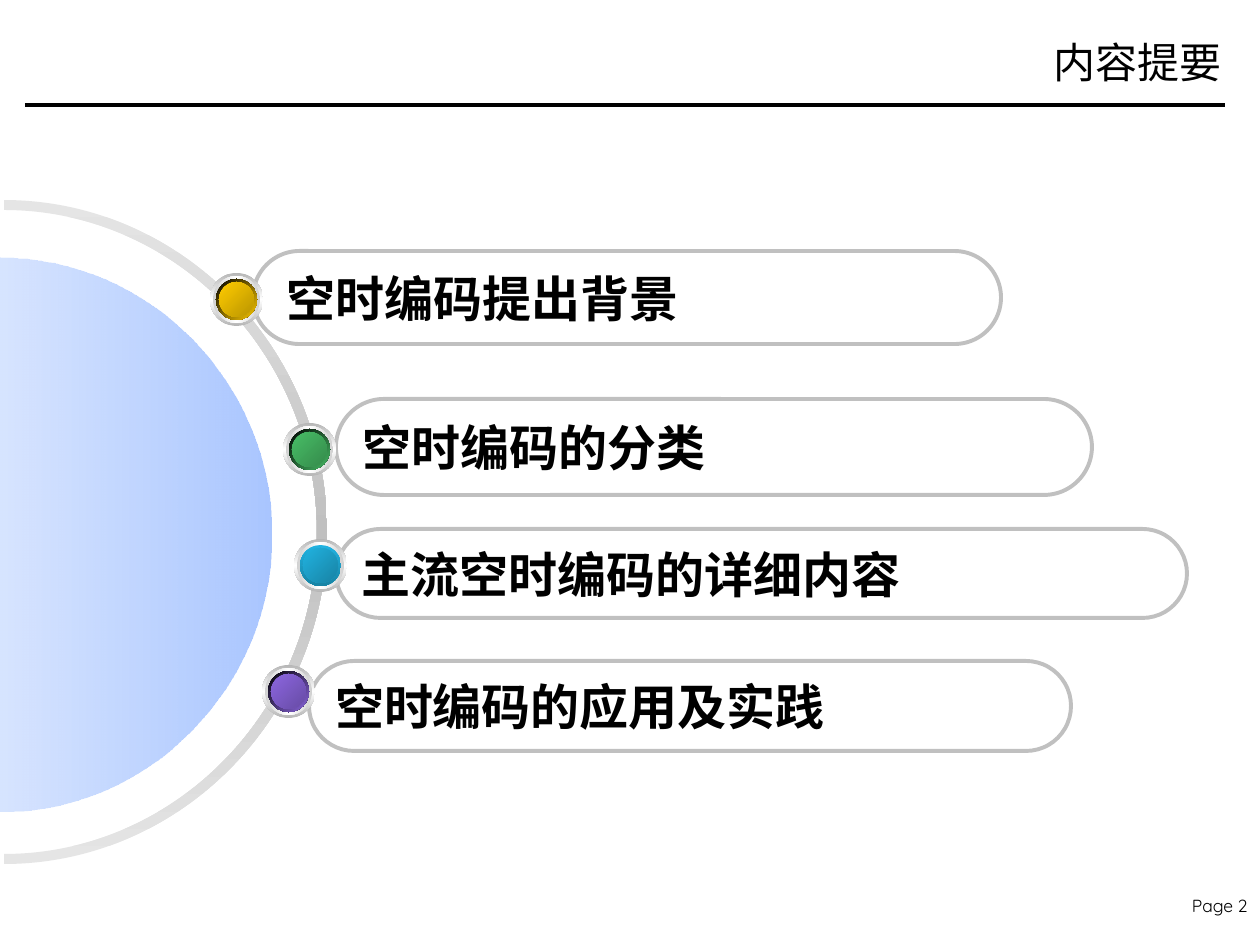
from lxml.etree import SubElement
from pptx import Presentation
from pptx.dml.color import RGBColor
from pptx.enum.shapes import MSO_CONNECTOR, MSO_SHAPE
from pptx.enum.text import MSO_ANCHOR, PP_ALIGN
from pptx.oxml.ns import qn
from pptx.util import Pt

SCALE = 914400 / 126  # EMU in one px
SLIDE_SIZE = (1260, 945)
ARC_HANDLE = 0.55  # length of a curve handle for a quarter ellipse of radius 1

COLORS = {
    "black": "000000", "white": "FFFFFF", "outline": "C0C0C0",
    "ring_end": "E5E5E5", "ring_middle": "C0C0C0",
    "disc_edge": "6699FF", "disc_centre": "B2CCFF",
    "bezel": "B6B6B6", "inner_bezel": "D1D1D1",
    "yellow": "FFCC00", "dark_yellow": "BA9500",
    "green": "48BE67", "dark_green": "358B4B",
    "blue": "21B3E1", "dark_blue": "1883A4",
    "purple": "8D67E1", "dark_purple": "674BA4",
}

TITLE = ("内容提要", (916, 15, 318, 94))
PAGE_LABEL = ("Page 2", (1159, 889, 101, 32))
RULE = ((25, 105), (1225, 105))

# centre, outer radii and inner radii of the half ring; centre and radii of the half disc
RING = ((4, 532), (323, 332), (313, 322))
DISC = ((0, 535), (271, 277))

# text, pill box, extra text indent, knob corner, knob colour, rim colours, rim angle
TOPICS = [
    ("空时编码提出背景", (253, 251, 748, 93), 7, (210, 273),
     "yellow", ("black", "yellow"), 45),
    ("空时编码的分类", (336, 399, 756, 96), 0, (283, 423),
     "green", ("black", "green"), 45),
    ("主流空时编码的详细内容", (336, 529, 851, 89), 0, (294, 539),
     "blue", ("blue", "dark_blue"), 90),
    ("空时编码的应用及实践", (309, 661, 762, 90), 0, (262, 665),
     "purple", ("black", "purple"), 45),
]
KNOB_SIZE, KNOB_STEP = 53, 3
INSET = 13


def px(value):
    return round(value * SCALE)


def rgb(name):
    return RGBColor.from_string(COLORS[name])


def fill_gradient(shape, names, angle, alphas=None):
    """Fill with evenly spaced stops; angle is clockwise, alphas are percentages."""
    shape.shadow.inherit = False
    shape.line.fill.background()
    shape.fill.gradient()
    gradient = shape._element.spPr.find(qn("a:gradFill"))
    stops = gradient.find(qn("a:gsLst"))
    for stop in list(stops):
        stops.remove(stop)
    for index, name in enumerate(names):
        position = round(100000 * index / (len(names) - 1))
        stop = SubElement(stops, qn("a:gs"), pos=str(position))
        color = SubElement(stop, qn("a:srgbClr"), val=COLORS[name])
        if alphas:
            SubElement(color, qn("a:alpha"), val=str(alphas[index] * 1000))
    gradient.find(qn("a:lin")).set("ang", str(angle * 60000))


def half_ellipse(centre, radii):
    """Two curves, top to bottom along the right side: ends and handles in EMU."""
    unit_points = [(0, -1), (ARC_HANDLE, -1), (1, -ARC_HANDLE), (1, 0),
                   (1, ARC_HANDLE), (ARC_HANDLE, 1), (0, 1)]
    return [(px(centre[0] + radii[0] * x), px(centre[1] + radii[1] * y))
            for x, y in unit_points]


def add_curved_outline(slide, arcs):
    """Join arcs with straight lines; each three points after an arc's first make a curve."""
    points = [point for arc in arcs for point in arc]
    builder = slide.shapes.build_freeform(*points[0], scale=1.0)
    builder.add_line_segments(points[1:], close=True)
    shape = builder.convert_to_shape()
    outline = next(shape._element.iter(qn("a:path")))
    segments = [None] + outline.findall(qn("a:lnTo"))
    arc_start = 0
    for arc in arcs:
        for first in range(arc_start + 1, arc_start + len(arc), 3):
            curve = outline.makeelement(qn("a:cubicBezTo"))
            segments[first].addprevious(curve)
            for segment in segments[first:first + 3]:
                curve.append(segment[0])
                outline.remove(segment)
        arc_start += len(arc)
    return shape


def set_text(shape, text, size, font, align=PP_ALIGN.LEFT, bold=False):
    frame = shape.text_frame
    frame.word_wrap = True
    frame.vertical_anchor = MSO_ANCHOR.MIDDLE
    frame.text = text
    paragraph = frame.paragraphs[0]
    paragraph.alignment = align
    run_font = paragraph.runs[0].font
    run_font.name, run_font.size, run_font.bold = font, Pt(size), bold
    run_font.color.rgb = rgb("black")


def add_header_and_footer(slide):
    for (text, box), size, font in ((TITLE, 24, "Times New Roman"),
                                    (PAGE_LABEL, 10, "Quicksand")):
        label = slide.shapes.add_textbox(*map(px, box))
        set_text(label, text, size, font, PP_ALIGN.RIGHT)
    start, end = RULE
    rule = slide.shapes.add_connector(MSO_CONNECTOR.STRAIGHT, *map(px, start + end))
    rule.line.color.rgb = rgb("black")
    rule.line.width = Pt(2)
    SubElement(rule._element.spPr, qn("a:effectLst"))


def add_half_circles(slide):
    centre, outer, inner = RING
    ring = add_curved_outline(
        slide, [half_ellipse(centre, outer), half_ellipse(centre, inner)[::-1]])
    fill_gradient(ring, ("ring_end", "ring_middle", "ring_end"), 90)
    disc = add_curved_outline(slide, [half_ellipse(*DISC)])
    fill_gradient(disc, ("disc_centre", "disc_edge"), 0, (52, 56))


def add_pill(slide, text, box, indent):
    pill = slide.shapes.add_shape(MSO_SHAPE.ROUNDED_RECTANGLE, *map(px, box))
    pill.adjustments[0] = 0.5
    pill.shadow.inherit = False
    pill.fill.background()
    pill.line.color.rgb = rgb("outline")
    pill.line.width = Pt(2.25)
    set_text(pill, text, 28, "Arial", bold=True)
    pill.text_frame.margin_left = px(INSET + indent)


def add_knob(slide, corner, color, rim, rim_angle):
    layers = [
        (("bezel", "white", "bezel"), 90),
        (("inner_bezel", "white", "inner_bezel"), 0),
        (rim, rim_angle),
        ((color, "dark_" + color), 45),
    ]
    knob = slide.shapes.add_group_shape()
    for index, (names, angle) in enumerate(layers):
        offset = index * KNOB_STEP
        size = px(KNOB_SIZE - 2 * offset)
        circle = knob.shapes.add_shape(MSO_SHAPE.OVAL, px(corner[0] + offset),
                                       px(corner[1] + offset), size, size)
        fill_gradient(circle, names, angle)


def main():
    presentation = Presentation()
    presentation.slide_width, presentation.slide_height = map(px, SLIDE_SIZE)
    slide = presentation.slides.add_slide(presentation.slide_layouts[6])
    add_header_and_footer(slide)
    add_half_circles(slide)
    for text, box, indent, *_ in reversed(TOPICS):
        add_pill(slide, text, box, indent)
    for *_, corner, color, rim, rim_angle in TOPICS:
        add_knob(slide, corner, color, rim, rim_angle)
    presentation.save("out.pptx")


if __name__ == "__main__":
    main()
